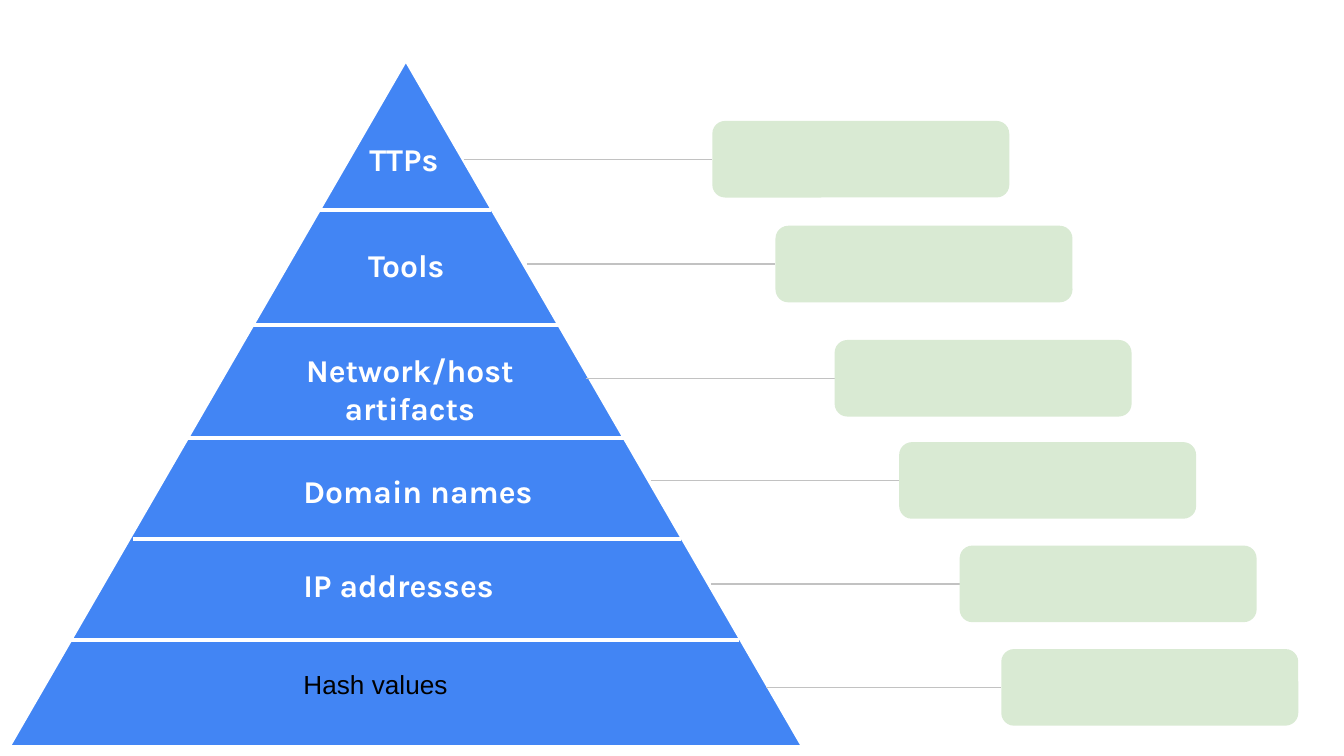
from typing import NamedTuple

from lxml.etree import SubElement
from pptx import Presentation
from pptx.dml.color import RGBColor
from pptx.enum.shapes import MSO_CONNECTOR, MSO_SHAPE
from pptx.enum.text import MSO_AUTO_SIZE, PP_ALIGN
from pptx.oxml.ns import qn
from pptx.slide import Slide
from pptx.util import Inches, Pt

BLUE = RGBColor(0x42, 0x85, 0xF4)
GREEN = RGBColor(0xD9, 0xEA, 0xD3)
GREY = RGBColor(0xC2, 0xC2, 0xC2)
WHITE = RGBColor(0xFF, 0xFF, 0xFF)
BLACK = RGBColor(0x00, 0x00, 0x00)
BOX_WIDTH, BOX_HEIGHT = 2.21, 0.57


class Label(NamedTuple):
    text: str
    left: float
    top: float
    width: float
    height: float = 0.49
    align: PP_ALIGN = PP_ALIGN.LEFT
    font: str = "Karla"
    size: int = 17
    bold: bool = True
    color: RGBColor = WHITE


class Rule(NamedTuple):
    left: float
    right: float
    y: float


class Box(NamedTuple):
    left: float
    top: float
    reach: float = 1.85


LABELS = [
    Label("TTPs", 2.65, 0.94, 0.88),
    Label("Tools", 2.64, 1.73, 0.88),
    Label("Network/host artifacts", 1.96, 2.51, 2.18, 0.77, PP_ALIGN.CENTER),
    Label("Domain names", 2.16, 3.41, 2.24),
    Label("IP addresses", 2.16, 4.11, 2.24),
    Label("Hash values", 2.16, 4.87, 2.24,
          font="Arial", size=14, bold=False, color=BLACK),
]
RULES = [
    Rule(2.38, 3.65, 1.56),
    Rule(1.88, 4.17, 2.42),
    Rule(1.39, 4.64, 3.26),
    Rule(0.99, 5.07, 4.01),
    Rule(0.53, 5.5, 4.76),
]
BOXES = [
    Box(5.3, 0.9),
    Box(5.77, 1.68),
    Box(6.21, 2.53),
    Box(6.69, 3.29),
    Box(7.14, 4.06),
    Box(7.45, 4.83, 1.75),
]


def draw_line(slide: Slide, kind: MSO_CONNECTOR, rule: Rule,
              color: RGBColor, weight: float) -> None:
    line = slide.shapes.add_connector(
        kind, Inches(rule.left), Inches(rule.y), Inches(rule.right), Inches(rule.y))
    line.line.color.rgb = color
    line.line.width = Pt(weight)
    SubElement(line._element.spPr, qn("a:effectLst"))


def draw_peak(slide: Slide) -> None:
    peak = slide.shapes.add_shape(
        MSO_SHAPE.ISOSCELES_TRIANGLE,
        Inches(0.06), Inches(0.44), Inches(5.92), Inches(5.12))
    peak.shadow.inherit = False
    peak.fill.solid()
    peak.fill.fore_color.rgb = BLUE
    peak.line.color.rgb = WHITE
    peak.line.width = Pt(2.25)


def draw_label(slide: Slide, label: Label) -> None:
    frame = slide.shapes.add_textbox(
        Inches(label.left), Inches(label.top),
        Inches(label.width), Inches(label.height)).text_frame
    frame.word_wrap = True
    frame.auto_size = MSO_AUTO_SIZE.SHAPE_TO_FIT_TEXT
    frame.margin_left = frame.margin_right = Inches(0.1)
    frame.margin_top = frame.margin_bottom = Inches(0.1)
    para = frame.paragraphs[0]
    para.text = label.text
    para.alignment = label.align
    para.font.name = label.font
    para.font.size = Pt(label.size)
    para.font.bold = label.bold
    para.font.color.rgb = label.color


def draw_box(slide: Slide, box: Box) -> None:
    link = Rule(box.left - box.reach, box.left, box.top + BOX_HEIGHT / 2)
    draw_line(slide, MSO_CONNECTOR.ELBOW, link, GREY, 0.75)
    shape = slide.shapes.add_shape(
        MSO_SHAPE.ROUNDED_RECTANGLE, Inches(box.left), Inches(box.top),
        Inches(BOX_WIDTH), Inches(BOX_HEIGHT))
    shape.shadow.inherit = False
    shape.fill.solid()
    shape.fill.fore_color.rgb = GREEN
    shape.line.fill.background()


def main() -> None:
    """Build the pyramid of threat clues with an empty box beside each tier."""
    deck = Presentation()
    deck.slide_width = Inches(10)
    deck.slide_height = deck.slide_width * 9 // 16
    slide = deck.slides.add_slide(deck.slide_layouts[6])
    draw_peak(slide)
    for rule in RULES:
        draw_line(slide, MSO_CONNECTOR.STRAIGHT, rule, WHITE, 2.25)
    for label in LABELS:
        draw_label(slide, label)
    for box in BOXES:
        draw_box(slide, box)
    deck.save("out.pptx")


if __name__ == "__main__":
    main()
